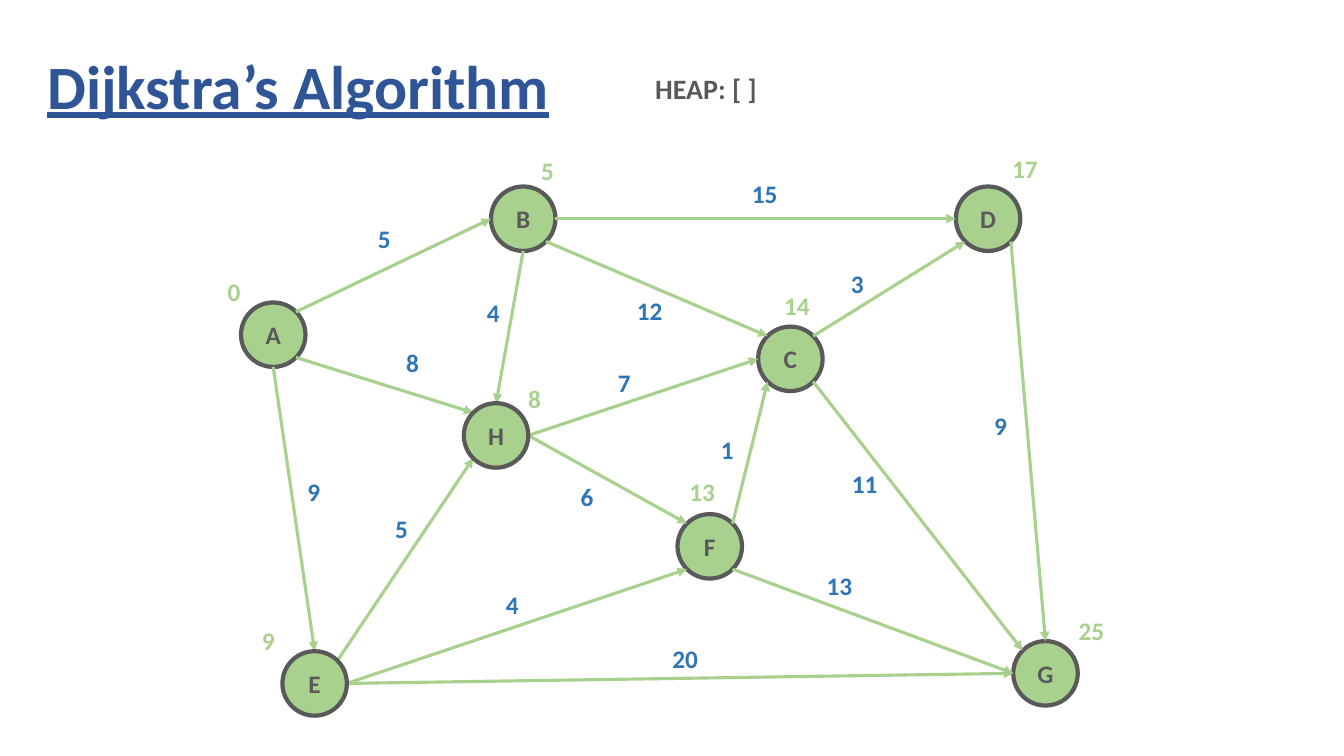
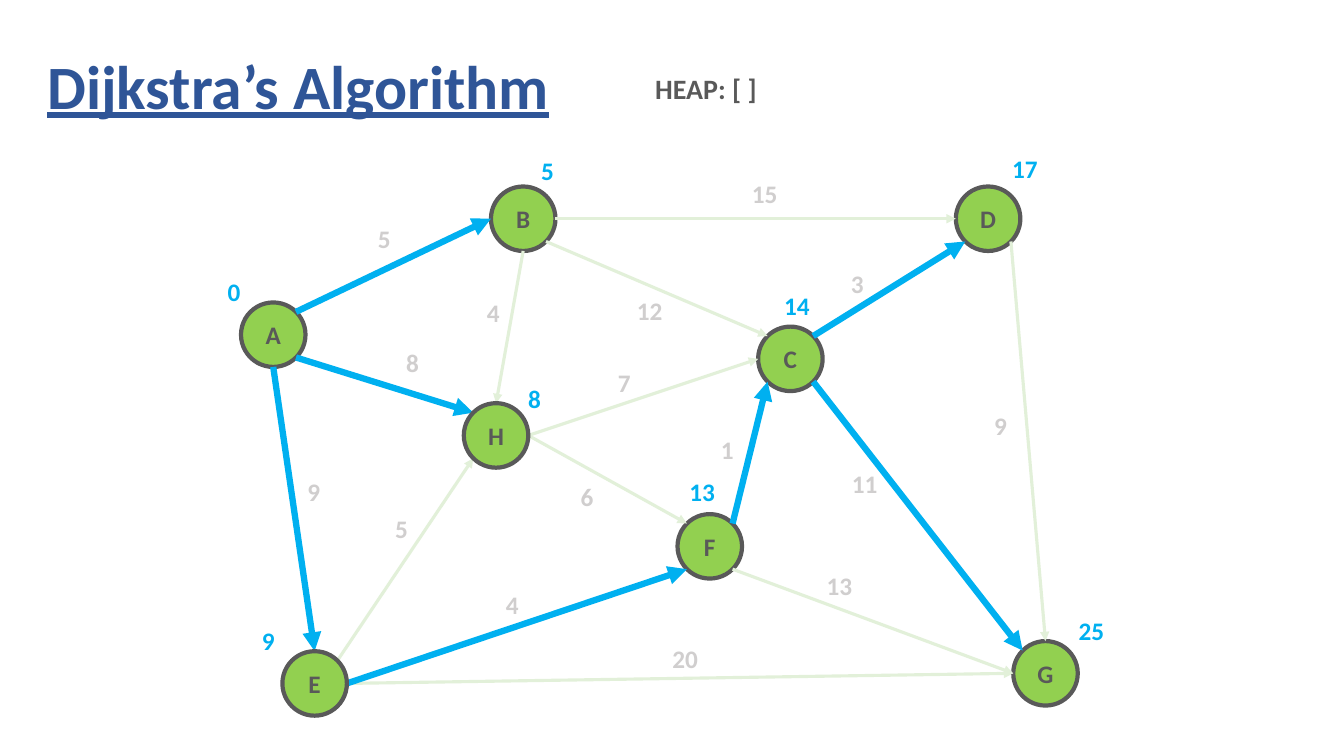
"""Build two slides that show Dijkstra's algorithm on a weighted graph."""
from dataclasses import dataclass
from math import cos, radians, sin

from lxml.etree import SubElement
from pptx import Presentation
from pptx.dml.color import RGBColor
from pptx.enum.shapes import MSO_CONNECTOR, MSO_SHAPE
from pptx.enum.text import MSO_ANCHOR, PP_ALIGN
from pptx.oxml.ns import qn
from pptx.util import Inches, Pt


@dataclass(frozen=True)
class Theme:
    font: str = "Calibri"
    title: str = "2F5597"
    ink: str = "595959"
    title_size: float = 44
    heap_size: float = 20
    body_size: float = 18
    outline: float = 3
    thin: float = 2.25
    thick: float = 4.5


@dataclass(frozen=True)
class Look:
    node: str
    distance: str
    weight: str
    edge: str
    tree_edge: str
    tree_width: float


THEME = Theme()
LOOKS = [
    Look("A9D18E", "A9D18E", "2E75B6", "A9D18E", "A9D18E", THEME.thin),
    Look("92D050", "00B0F0", "D0CECE", "E2F0D9", "00B0F0", THEME.thick),
]

deck = Presentation()
deck.slide_width, deck.slide_height = Inches(13.33), Inches(7.5)
COLUMN, ROW = deck.slide_width / 100, deck.slide_height / 100
DIAMETER = 4.8 * COLUMN
LABEL_HEIGHT = 5.33
LABEL_WIDTHS = {1: 2.55, 2: 3.45}

# name: centre column, centre row, distance, label column, label row
NODES = {
    "A": (20.33, 44.27, 0, 16.2, 35.87),
    "B": (38.93, 28.93, 5, 39.53, 19.87),
    "C": (58.81, 47.47, 14, 57.61, 37.73),
    "D": (73.52, 28.93, 17, 74.57, 19.6),
    "F": (52.81, 72.27, 13, 50.56, 62.4),
    "G": (77.79, 89.07, 25, 79.52, 80.8),
    "E": (23.41, 90.4, 9, 18.75, 82),
    "H": (36.91, 57.6, 8, 38.56, 50),
}
TOP, TOP_LEFT, LEFT, BOTTOM_LEFT, BOTTOM, BOTTOM_RIGHT, RIGHT, TOP_RIGHT = range(8)
EDGES = [
    ("A", BOTTOM, "E", TOP, 9, 22.13, 62.4),
    ("A", BOTTOM_RIGHT, "H", TOP_LEFT, 8, 29.48, 45.33),
    ("A", TOP_RIGHT, "B", LEFT, 5, 27.38, 28.93),
    ("B", RIGHT, "D", LEFT, 15, 55.21, 22.93),
    ("B", BOTTOM_RIGHT, "C", TOP_LEFT, 12, 46.66, 38.4),
    ("B", BOTTOM, "H", TOP, 4, 35.48, 38.67),
    ("E", TOP_RIGHT, "H", BOTTOM_LEFT, 5, 28.66, 67.2),
    ("E", RIGHT, "G", LEFT, 20, 49.29, 84.4),
    ("E", RIGHT, "F", BOTTOM_LEFT, 4, 36.91, 77.33),
    ("H", RIGHT, "C", LEFT, 7, 45.24, 47.87),
    ("H", RIGHT, "F", TOP_LEFT, 6, 42.46, 63.07),
    ("C", TOP_RIGHT, "D", BOTTOM_LEFT, 3, 62.57, 34.8),
    ("C", BOTTOM_RIGHT, "G", TOP_LEFT, 11, 62.64, 61.33),
    ("F", BOTTOM_RIGHT, "G", LEFT, 13, 60.77, 74.8),
    ("F", TOP_RIGHT, "C", BOTTOM_LEFT, 1, 52.89, 56.8),
    ("D", BOTTOM_RIGHT, "G", TOP, 9, 73.22, 53.6),
]


def write(shape, text, size, color):
    shape.text_frame.text = text
    para = shape.text_frame.paragraphs[0]
    font = para.runs[0].font
    font.name, font.size, font.bold = THEME.font, Pt(size), True
    font.color.rgb = RGBColor.from_string(color)
    return para


def add_label(page, text, left, top, width, height, size, color):
    box = page.shapes.add_textbox(
        round(left * COLUMN), round(top * ROW), round(width * COLUMN), round(height * ROW)
    )
    box.text_frame.word_wrap = False
    write(box, text, size, color)
    return box


for look in LOOKS:
    page = deck.slides.add_slide(deck.slide_layouts[6])

    title = add_label(
        page, "Dijkstra’s Algorithm", 2.78, 2.13, 86.27, 19.33, THEME.title_size, THEME.title
    )
    title.text_frame.word_wrap = True
    title.text_frame.vertical_anchor = MSO_ANCHOR.MIDDLE
    title_para = title.text_frame.paragraphs[0]
    title_para.line_spacing = 0.9
    title_para.runs[0].font.underline = True
    add_label(page, "HEAP: [ ]", 48.01, 8.8, 9.6, 5.87, THEME.heap_size, THEME.ink)

    circles = {}
    for name, (column, row, *_) in NODES.items():
        circle = page.shapes.add_shape(
            MSO_SHAPE.OVAL,
            round(column * COLUMN - DIAMETER / 2),
            round(row * ROW - DIAMETER / 2),
            round(DIAMETER),
            round(DIAMETER),
        )
        circle.shadow.inherit = False
        circle.fill.solid()
        circle.fill.fore_color.rgb = RGBColor.from_string(look.node)
        circle.line.color.rgb = RGBColor.from_string(THEME.ink)
        circle.line.width = Pt(THEME.outline)
        circle.text_frame.vertical_anchor = MSO_ANCHOR.MIDDLE
        write(circle, name, THEME.body_size, THEME.ink).alignment = PP_ALIGN.CENTER
        circles[name] = circle

    for start, start_site, end, end_site, weight, label_column, label_row in EDGES:
        points = []
        for name, site in ((start, start_site), (end, end_site)):
            column, row = NODES[name][:2]
            angle = radians(45 * site)
            points.append(round(column * COLUMN - DIAMETER / 2 * sin(angle)))
            points.append(round(row * ROW - DIAMETER / 2 * cos(angle)))
        arrow = page.shapes.add_connector(MSO_CONNECTOR.STRAIGHT, *points)
        in_tree = NODES[start][2] + weight == NODES[end][2]
        arrow.line.color.rgb = RGBColor.from_string(look.tree_edge if in_tree else look.edge)
        arrow.line.width = Pt(look.tree_width if in_tree else THEME.thin)
        SubElement(arrow.line._get_or_add_ln(), qn("a:tailEnd"), type="triangle")
        SubElement(arrow.element.spPr, qn("a:effectLst"))
        joints = arrow.element.find(".//" + qn("p:cNvCxnSpPr"))
        for tag, name, site in (("a:stCxn", start, start_site), ("a:endCxn", end, end_site)):
            SubElement(joints, qn(tag), id=str(circles[name].shape_id), idx=str(site))
        add_label(
            page, str(weight), label_column, label_row,
            LABEL_WIDTHS[len(str(weight))], LABEL_HEIGHT, THEME.body_size, look.weight,
        )

    for _, _, distance, label_column, label_row in NODES.values():
        add_label(
            page, str(distance), label_column, label_row,
            LABEL_WIDTHS[len(str(distance))], LABEL_HEIGHT, THEME.body_size, look.distance,
        )

    for name in "EH":
        circle_element = circles[name].element
        circle_element.getparent().append(circle_element)

deck.save("out.pptx")
